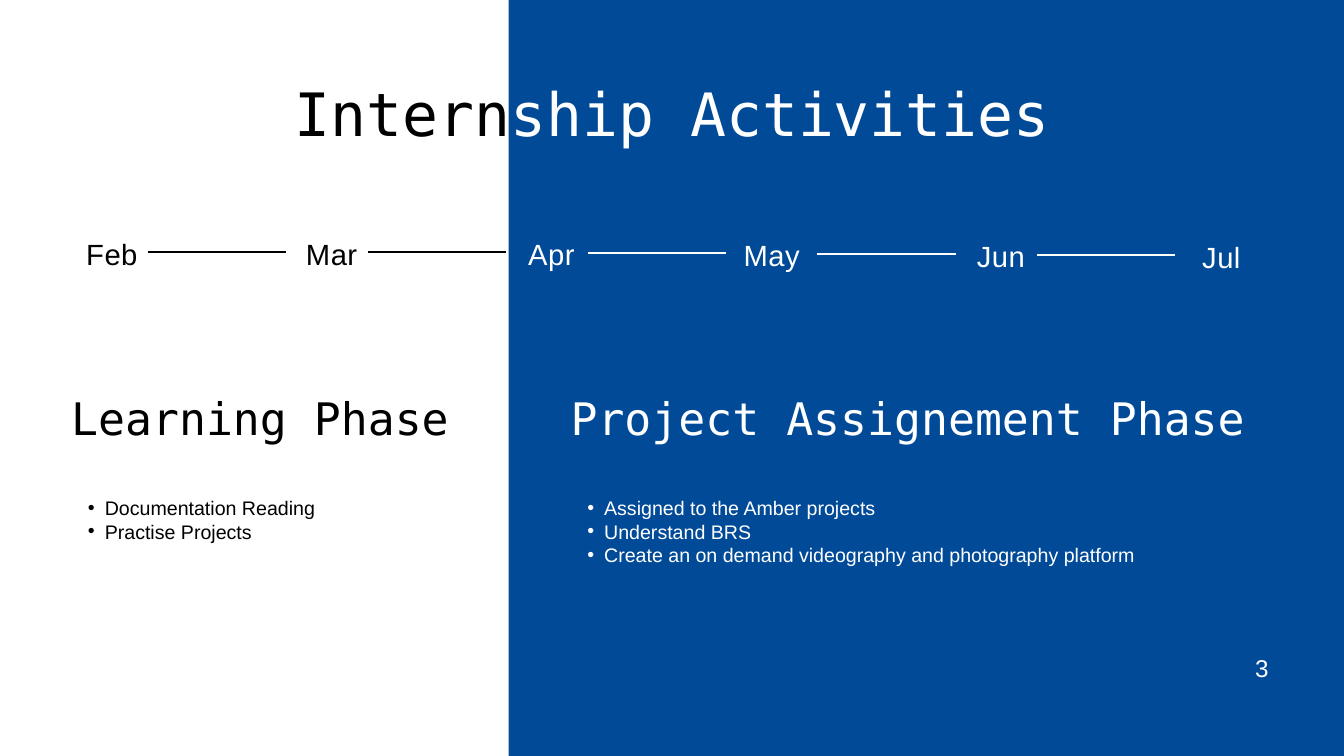
from dataclasses import dataclass

from lxml import etree
from pptx import Presentation
from pptx import util as u
from pptx.dml.color import RGBColor
from pptx.enum import shapes, text
from pptx.oxml.ns import qn


@dataclass(frozen=True)
class Theme:
    blue: str = "004A98"
    white: str = "FFFFFF"
    black: str = "000000"
    heading_font: str = "DejaVu Sans Mono"
    body_font: str = "Arial"
    title_size: float = 64
    phase_size: float = 48
    month_size: float = 31.3
    number_size: float = 26
    bullet_size: float = 21


@dataclass(frozen=True)
class Month:
    name: str
    left: float
    top: float
    color: str


@dataclass(frozen=True)
class Link:
    left: float
    top: float
    color: str


@dataclass(frozen=True)
class Phase:
    title: str
    left: float
    width: float
    color: str
    items: tuple[str, ...]


THEME = Theme()
PANEL_WIDTH = 7.57
MONTH_WIDTH, MONTH_HEIGHT = 1.09, 0.56
LINK_LENGTH = 2.06

MONTHS = (
    Month("Feb", 1.12, 3.43, THEME.black),
    Month("Mar", 4.39, 3.43, THEME.black),
    Month("Apr", 7.66, 3.43, THEME.white),
    Month("May", 10.94, 3.45, THEME.white),
    Month("Jun", 14.35, 3.46, THEME.white),
    Month("Jul", 17.63, 3.48, THEME.white),
)
LINKS = (
    Link(2.2, 3.75, THEME.black),
    Link(5.47, 3.75, THEME.black),
    Link(8.75, 3.77, THEME.white),
    Link(12.16, 3.78, THEME.white),
    Link(15.43, 3.8, THEME.white),
)
PHASES = (
    Phase("Learning Phase", 1.06, 6.4, THEME.black,
          ("Documentation Reading", "Practise Projects")),
    Phase("Project Assignement Phase", 8.49, 10.38, THEME.white,
          ("Assigned to the Amber projects", "Understand BRS",
           "Create an on demand videography and photography platform")),
)


def add_text(page, paragraphs, *, left: float, top: float, width: float,
             height: float, size: float, line: float, font: str = THEME.body_font,
             align=text.PP_ALIGN.LEFT, spacing: int = 0, bullet: bool = False):
    """Add a text box; each paragraph is a list of (words, color) spans."""
    box = page.shapes.add_textbox(u.Inches(left), u.Inches(top),
                                  u.Inches(width), u.Inches(height))
    frame = box.text_frame
    frame.word_wrap = True
    frame.margin_left = frame.margin_right = 0
    frame.margin_top = frame.margin_bottom = 0
    for index, spans in enumerate(paragraphs):
        para = frame.add_paragraph() if index else frame.paragraphs[0]
        para.alignment = align
        para.line_spacing = u.Pt(line)
        if bullet:
            add_bullet(para)
        for words, color in spans:
            span = para.add_run()
            span.text = words
            span.font.name = font
            span.font.size = u.Pt(size)
            span.font.color.rgb = RGBColor.from_string(color)
            if spacing:
                span.font._element.set("spc", str(spacing))
    return box


def add_bullet(para) -> None:
    para.level = 1
    properties = para._p.get_or_add_pPr()
    properties.set("marL", str(u.Inches(0.5)))
    properties.set("indent", str(u.Inches(-0.25)))
    etree.SubElement(properties, qn("a:buFont")).set("typeface", THEME.body_font)
    etree.SubElement(properties, qn("a:buChar")).set("char", "•")


def add_panel(page, width: float, height: float) -> None:
    panel = page.shapes.add_shape(shapes.MSO_SHAPE.RECTANGLE, 0, 0,
                                  u.Inches(width), u.Inches(height))
    panel.shadow.inherit = False
    panel.fill.solid()
    panel.fill.fore_color.rgb = RGBColor.from_string(THEME.white)
    panel.line.fill.background()


def add_month(page, month: Month) -> None:
    add_text(page, [[(month.name, month.color)]], left=month.left, top=month.top,
             width=MONTH_WIDTH, height=MONTH_HEIGHT, size=THEME.month_size,
             line=43.8, align=text.PP_ALIGN.CENTER, spacing=50)


def add_link(page, link: Link) -> None:
    line = page.shapes.add_connector(
        shapes.MSO_CONNECTOR.STRAIGHT, u.Inches(link.left), u.Inches(link.top),
        u.Inches(link.left + LINK_LENGTH), u.Inches(link.top))
    line.line.color.rgb = RGBColor.from_string(link.color)
    line.line.width = u.Pt(2)
    etree.SubElement(line._element.spPr, qn("a:effectLst"))


def add_phase(page, phase: Phase) -> None:
    add_text(page, [[(phase.title, phase.color)]], left=phase.left, top=5.81,
             width=phase.width, height=0.79, size=THEME.phase_size, line=57.6,
             font=THEME.heading_font)
    add_text(page, [[(item, phase.color)] for item in phase.items],
             left=phase.left, top=7.38, width=phase.width,
             height=0.35 * len(phase.items), size=THEME.bullet_size,
             line=25.2, bullet=True)


def main() -> None:
    deck = Presentation()
    deck.slide_width, deck.slide_height = u.Inches(20), u.Inches(11.25)
    page = deck.slides.add_slide(deck.slide_layouts[6])

    # Two-tone backdrop
    page.background.fill.solid()
    page.background.fill.fore_color.rgb = RGBColor.from_string(THEME.blue)
    add_panel(page, PANEL_WIDTH, 11.25)

    # Title changes color at the panel edge
    add_text(page, [[("Intern", THEME.black), ("ship Activities", THEME.white)]],
             left=1.18, top=1.14, width=17.65, height=1.05,
             size=THEME.title_size, line=76.8, font=THEME.heading_font,
             align=text.PP_ALIGN.CENTER)

    # Timeline
    for month in MONTHS:
        add_month(page, month)
    for link in LINKS:
        add_link(page, link)

    # Phases
    for phase in PHASES:
        add_phase(page, phase)

    # Page number
    add_text(page, [[("3", THEME.white)]], left=18.33, top=9.65, width=0.55,
             height=0.48, size=THEME.number_size, line=36.4,
             align=text.PP_ALIGN.RIGHT, spacing=40)

    deck.save("out.pptx")


if __name__ == "__main__":
    main()
